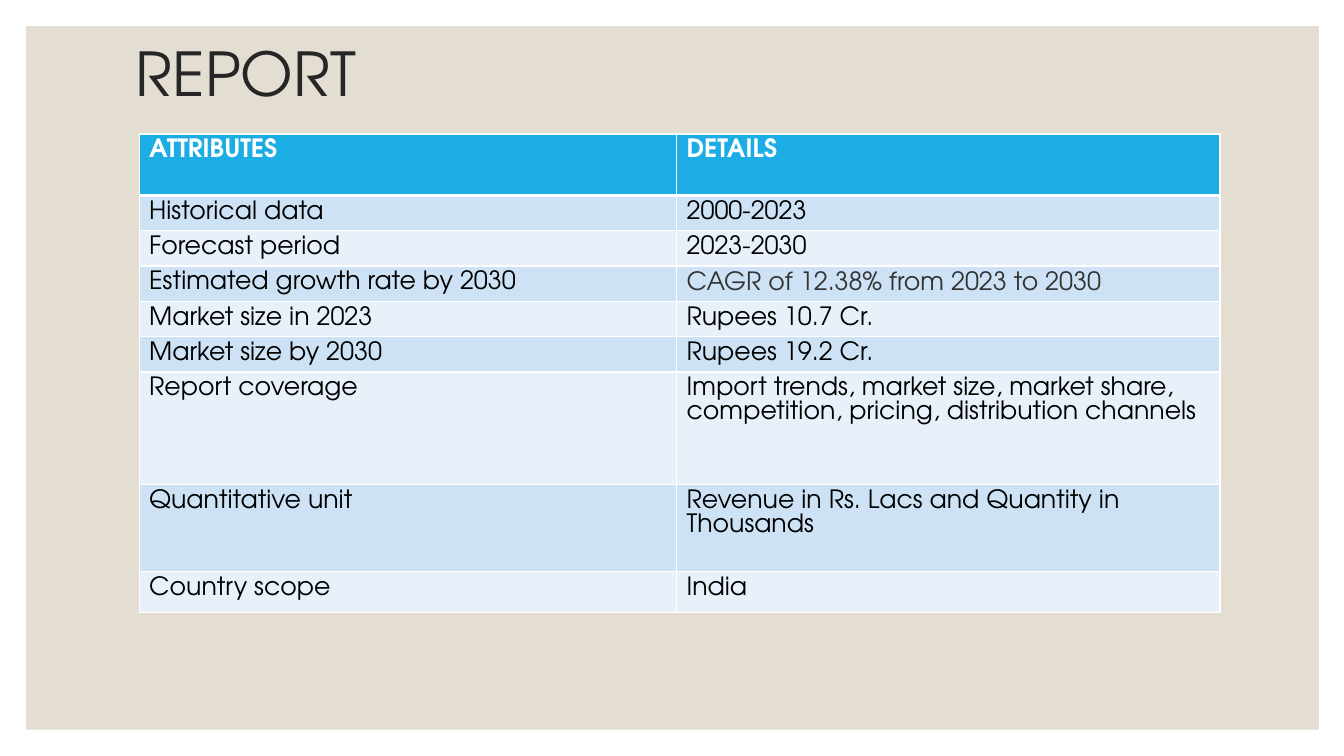
from pptx import Presentation
from pptx.dml.color import RGBColor
from pptx.enum.shapes import MSO_SHAPE
from pptx.enum.text import MSO_ANCHOR
from pptx.oxml.ns import qn
from pptx.util import Inches, Pt
from lxml import etree

RECTANGLE = MSO_SHAPE.RECTANGLE
TOP, MIDDLE = MSO_ANCHOR.TOP, MSO_ANCHOR.MIDDLE

FONT = "TeX Gyre Adventor"
WHITE = RGBColor(0xFF, 0xFF, 0xFF)
BLACK = RGBColor(0x00, 0x00, 0x00)
SAND = RGBColor(0xE3, 0xDE, 0xD1)
TITLE_GREY = RGBColor(0x26, 0x26, 0x26)
GROWTH_GREY = RGBColor(0x33, 0x33, 0x33)
HEADER_BLUE = RGBColor(0x1C, 0xAD, 0xE4)
BANDS = (RGBColor(0xCD, 0xE3, 0xF5), RGBColor(0xE8, 0xF1, 0xFA))

HEADINGS = ("ATTRIBUTES", "DETAILS")
GROWTH = "CAGR of 12.38% from 2023 to 2030"
ATTRIBUTES = [
    ("Historical data", "2000-2023"),
    ("Forecast period", "2023-2030"),
    ("Estimated growth rate by 2030", GROWTH),
    ("Market size in 2023", "Rupees 10.7 Cr."),
    ("Market size by 2030", "Rupees 19.2 Cr."),
    ("Report coverage", "Import trends, market size, market share, "
                        "competition, pricing, distribution channels"),
    ("Quantitative unit", "Revenue in Rs. Lacs and Quantity in Thousands"),
    ("Country scope", "India"),
]
COLUMN_WIDTHS = (5.33, 5.39)
ROW_HEIGHTS = [0.61] + [0.35] * 5 + [1.12, 0.86, 0.41]


class ReportSlide:
    """Holds the slide and the style shared by its elements."""

    def __init__(self, slide):
        self.slide = slide

    def style(self, paragraph, size, color, bold=False):
        for run in paragraph.runs:
            run.font.name = FONT
            run.font.size = Pt(size)
            run.font.bold = bold
            run.font.color.rgb = color

    def panel(self, left, top, width, height, color):
        panel = self.slide.shapes.add_shape(
            RECTANGLE, Inches(left), Inches(top), Inches(width), Inches(height))
        panel.shadow.inherit = False
        panel.fill.solid()
        panel.fill.fore_color.rgb = color
        panel.line.fill.background()

    def title(self, text, left, top, width, height):
        frame = self.slide.shapes.add_textbox(
            Inches(left), Inches(top), Inches(width), Inches(height)).text_frame
        frame.word_wrap = True
        frame.vertical_anchor = TOP
        frame.text = text
        frame.paragraphs[0].line_spacing = 0.8
        self.style(frame.paragraphs[0], 43.2, TITLE_GREY)

    def borders(self, cell, bottom):
        properties = cell._tc.get_or_add_tcPr()
        widths = {"a:lnL": 1, "a:lnR": 1, "a:lnT": 1, "a:lnB": bottom}
        for position, (tag, width) in enumerate(widths.items()):
            line = etree.Element(qn(tag), w=str(Pt(width)))
            fill = etree.SubElement(line, qn("a:solidFill"))
            etree.SubElement(fill, qn("a:srgbClr"), val=str(WHITE))
            properties.insert(position, line)

    def cell(self, cell, text, fill, color, header):
        cell.text = text
        cell.fill.solid()
        cell.fill.fore_color.rgb = fill
        self.style(cell.text_frame.paragraphs[0], 18, color, header)
        self.borders(cell, 3 if header else 1)

    def table(self, rows, left, top):
        table = self.slide.shapes.add_table(
            len(rows), len(COLUMN_WIDTHS), Inches(left), Inches(top),
            Inches(sum(COLUMN_WIDTHS)), Inches(sum(ROW_HEIGHTS))).table
        for column, width in zip(table.columns, COLUMN_WIDTHS):
            column.width = Inches(width)
        for index, (row, height) in enumerate(zip(table.rows, ROW_HEIGHTS)):
            row.height = Inches(height)
            header = index == 0
            fill = HEADER_BLUE if header else BANDS[(index - 1) % 2]
            for cell, text in zip(row.cells, rows[index]):
                color = WHITE if header else BLACK
                if text == GROWTH:
                    color = GROWTH_GREY
                    cell.vertical_anchor = MIDDLE
                self.cell(cell, text, fill, color, header)


prs = Presentation()
prs.slide_width, prs.slide_height = Inches(13.33), Inches(7.5)
report = ReportSlide(prs.slides.add_slide(prs.slide_layouts[6]))

# Background panel
report.panel(0.26, 0.26, 12.82, 6.98, SAND)

# Attribute table
report.table([HEADINGS] + ATTRIBUTES, 1.38, 1.33)

# Title
report.title("REPORT", 1.25, 0.45, 10.92, 0.7)

prs.save("out.pptx")
